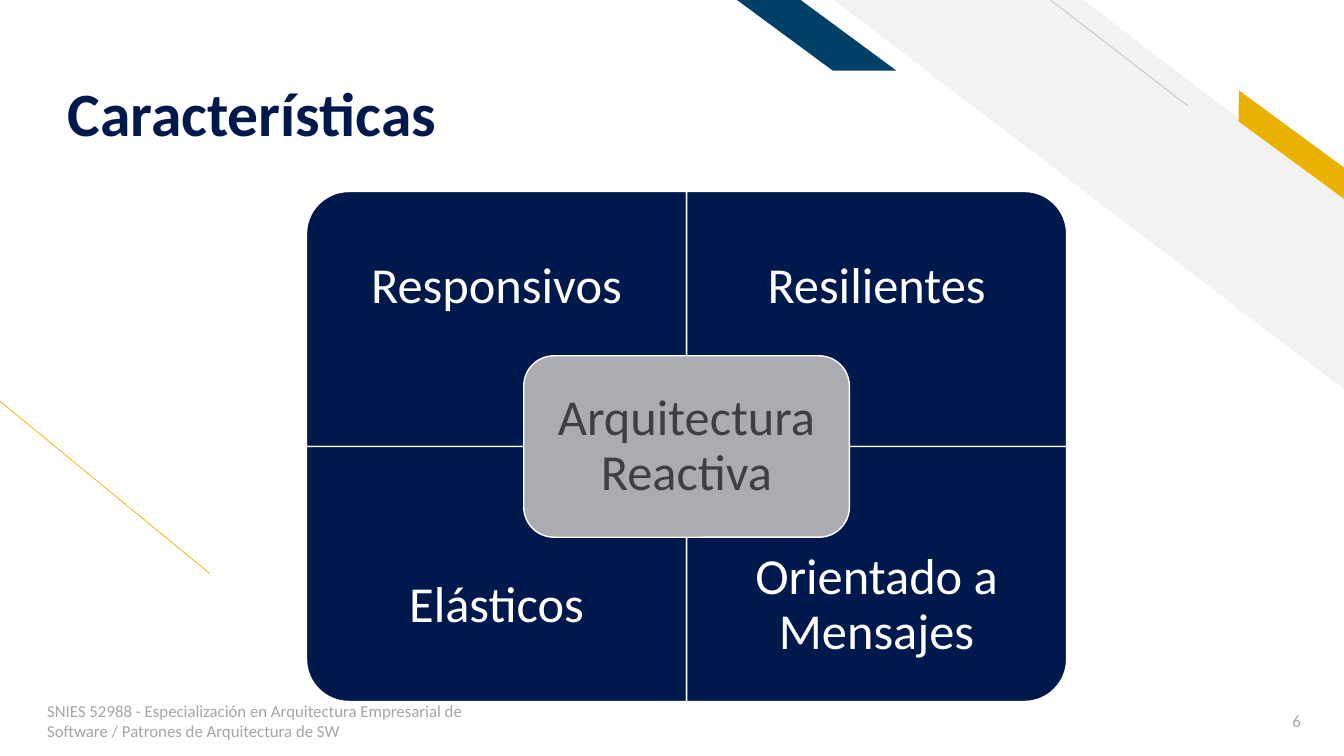
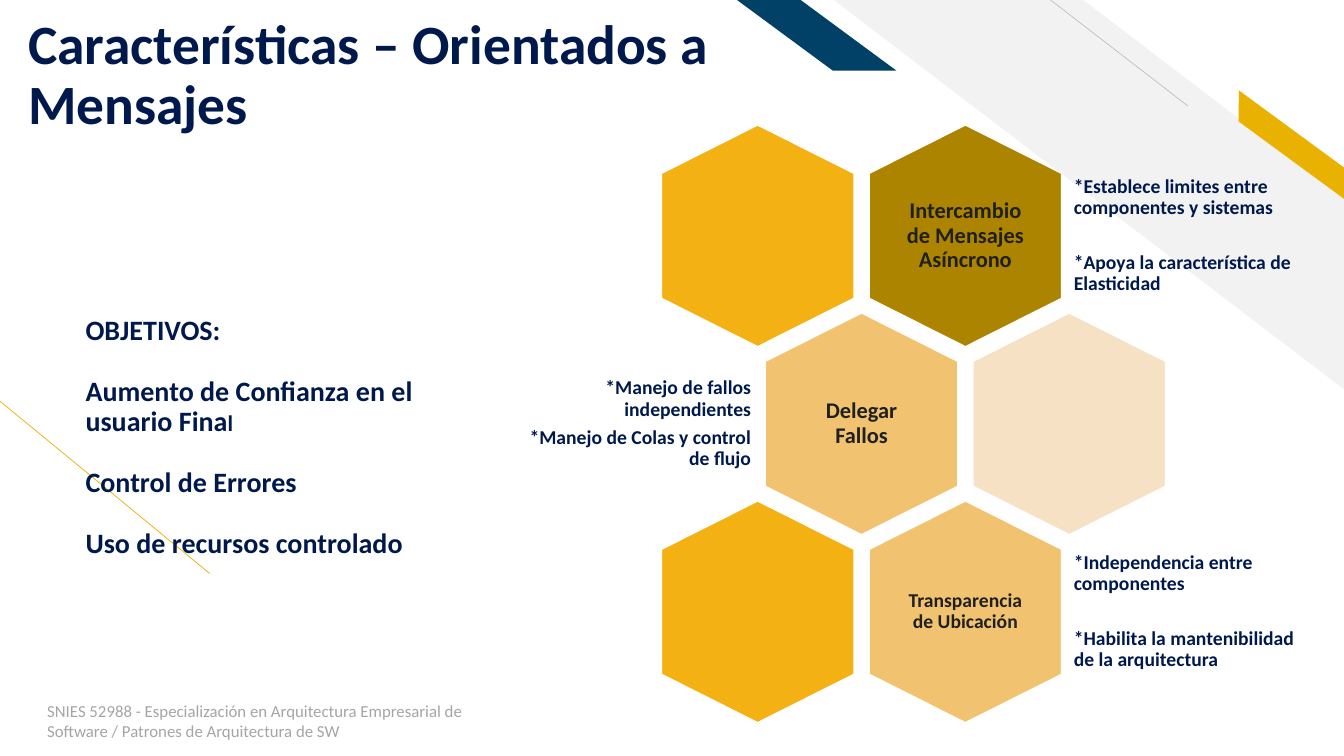
from math import cos, pi, sin

from pptx import Presentation
from pptx.dml.color import RGBColor
from pptx.enum.shapes import MSO_CONNECTOR, MSO_SHAPE
from pptx.enum.text import MSO_ANCHOR, MSO_AUTO_SIZE, PP_ALIGN
from pptx.oxml.ns import qn
from pptx.oxml.xmlchemy import OxmlElement
from pptx.util import Inches, Pt

# Content
FOOTER = ("SNIES 52988 - Especialización en Arquitectura Empresarial de "
          "Software / Patrones de Arquitectura de SW")
CENTER = "Arquitectura Reactiva"
QUADRANTS = [  # text, horizontal side, vertical side
    ("Responsivos", -1, -1), ("Resilientes", 1, -1),
    ("Elásticos", -1, 1), ("Orientado a Mensajes", 1, 1),
]
HEXAGONS = [  # row, column, fill, text, size
    (0, 0, "amber", "", 16),
    (0, 1, "bronze", "Intercambio de Mensajes Asíncrono", 16),
    (1, 0, "sand", "Delegar Fallos", 16),
    (1, 1, "cream", "", 16),
    (2, 0, "amber", "", 16),
    (2, 1, "sand", "Transparencia de Ubicación", 14),
]
NOTES = [  # left, row, width, alignment, gap in points, lines
    (10.59, 0, 2.45, PP_ALIGN.LEFT, 24,
     ["*Establece limites entre componentes y sistemas",
      "*Apoya la característica de Elasticidad"]),
    (5.14, 1, 2.37, PP_ALIGN.RIGHT, 5,
     ["*Manejo de fallos independientes",
      "*Manejo de Colas y control de flujo"]),
    (10.59, 2, 2.45, PP_ALIGN.LEFT, 24,
     ["*Independencia entre componentes",
      "*Habilita la mantenibilidad de la arquitectura"]),
]
GOALS = ["OBJETIVOS:", "Aumento de Confianza en el usuario Fina",
         "Control de Errores", "Uso de recursos controlado"]

# Shared style
FONT = "Calibri"
COLORS = {
    "navy": "00194C", "white": "FFFFFF", "gold": "EAB200", "teal": "014067",
    "pale": "F2F2F2", "rule": "BFBFBF", "muted": "A5A5A5", "gray": "ABACB2",
    "dark": "3F3F3F", "ink": "202020", "amber": "F4B113", "bronze": "AD8400",
    "sand": "F1C370", "cream": "F6E1C5",
}
BOX_INSETS = (0.1, 0.05, 0.1, 0.05)
TITLE_INSETS = (0.1, 0.05, 0.1, 0)


def rgb(name):
    return RGBColor.from_string(COLORS[name])


def write(sp, lines, size, color, bold=False, align=PP_ALIGN.CENTER,
          anchor=MSO_ANCHOR.MIDDLE, insets=BOX_INSETS, gap=0, spacing=0.9):
    tf = sp.text_frame
    tf.word_wrap = True
    tf.auto_size = MSO_AUTO_SIZE.NONE
    tf.vertical_anchor = anchor
    (tf.margin_left, tf.margin_top,
     tf.margin_right, tf.margin_bottom) = map(Inches, insets)
    tf.text = "\n".join(lines)
    for i, p in enumerate(tf.paragraphs):
        p.alignment = align
        p.line_spacing = spacing
        if i:
            p.space_before = Pt(gap)
        p.font.name, p.font.size, p.font.bold = FONT, Pt(size), bold
        p.font.color.rgb = rgb(color)
    return tf


def add_text(slide, box, lines, size, color, **style):
    sp = slide.shapes.add_textbox(*map(Inches, box))
    return write(sp, lines, size, color, **style)


def paint(sp, fill, line=None):
    sp.shadow.inherit = False
    sp.fill.solid()
    sp.fill.fore_color.rgb = rgb(fill)
    if line:
        sp.line.color.rgb = rgb(line)
        sp.line.width = Pt(1)
    else:
        sp.line.fill.background()
    return sp


def add_polygon(slide, points, fill):
    points = [(Inches(x), Inches(y)) for x, y in points]
    builder = slide.shapes.build_freeform(*points[0], scale=1.0)
    builder.add_line_segments(points[1:], close=True)
    return paint(builder.convert_to_shape(), fill, "white")


def add_band(slide, kind, box, adj, fill, rotation=0):
    sp = paint(slide.shapes.add_shape(kind, *map(Inches, box)), fill)
    sp.adjustments[0] = adj
    sp.rotation = rotation
    sp._element.spPr.find(qn("a:xfrm")).set("flipH", "1")
    return sp


def add_rule(slide, ends, color):
    line = slide.shapes.add_connector(MSO_CONNECTOR.STRAIGHT, *map(Inches, ends))
    line.line.color.rgb = rgb(color)
    line.line.width = Pt(0.5)
    line._element.spPr.append(OxmlElement("a:effectLst"))
    return line


def decorate_layout(layout, slide):
    """Draw the bands with the slide's tools, then hand them to the layout."""
    parts = [
        add_rule(slide, (2.08, 5.69, 0, 3.98), "gold"),
        add_band(slide, MSO_SHAPE.DIAGONAL_STRIPE, (8.27, 0, 5.07, 3.87), 0.512, "pale"),
        add_rule(slide, (11.78, 1.05, 10.42, 0), "rule"),
        add_band(slide, MSO_SHAPE.PARALLELOGRAM, (12.07, 1.31, 1.48, 0.25), 0.72,
                 "gold", 36.3),
        add_band(slide, MSO_SHAPE.PARALLELOGRAM, (7.31, 0, 1.58, 0.7), 1.356, "teal"),
    ]
    for number, part in enumerate(parts, 20):
        part._element.xpath(".//p:cNvPr")[0].set("id", str(number))
        layout.shapes._spTree.append(part._element)


def add_slide(prs, layout, title, box, size):
    slide = prs.slides.add_slide(layout)
    sp = slide.shapes.title
    sp.left, sp.top, sp.width, sp.height = map(Inches, box)
    write(sp, [title], size, "navy", bold=True, align=PP_ALIGN.LEFT,
          anchor=MSO_ANCHOR.BOTTOM, insets=TITLE_INSETS)
    add_text(slide, (0.37, 6.95, 4.5, 0.4), [FOOTER], 12, "muted",
             align=PP_ALIGN.LEFT, spacing=1.0)
    return slide


def build_matrix(slide):
    cx, cy, w, h, radius = 6.81, 4.43, 3.77, 2.53, 0.42
    angles = [i * pi / 32 for i in range(17)]
    corner = [(w - radius + radius * cos(a), h - radius + radius * sin(a))
              for a in angles]
    outline = [(0, 0), (w, 0), *corner, (0, h)]
    for text, sx, sy in QUADRANTS:
        sp = add_polygon(slide, [(cx + sx * x, cy + sy * y) for x, y in outline], "navy")
        top, bottom = (0.28, 0.91) if sy < 0 else (0.91, 0.28)
        write(sp, [text], 36, "white", insets=(0.28, top, 0.28, bottom))
    w, h = 3.23, 1.8
    box = (cx - w / 2, cy - h / 2, w, h)
    sp = slide.shapes.add_shape(MSO_SHAPE.ROUNDED_RECTANGLE, *map(Inches, box))
    write(paint(sp, "gray", "white"), [CENTER], 36, "dark", insets=(0.24,) * 4)


def build_honeycomb(slide):
    left, top, w, h, shoulder = 6.56, 1.24, 1.91, 2.2, 0.48
    col_step, row_step = 2.06, 1.865
    outline = [(w / 2, 0), (w, shoulder), (w, h - shoulder),
               (w / 2, h), (0, h - shoulder), (0, shoulder)]
    for row, col, fill, text, size in HEXAGONS:
        x = left + (col + row % 2 / 2) * col_step
        y = top + row * row_step
        sp = add_polygon(slide, [(x + dx, y + dy) for dx, dy in outline], fill)
        if text:
            write(sp, [text], size, "ink", bold=True, insets=(0.37, 0.42, 0.37, 0.42))

    # Notes are centred on their row of hexagons
    note_h = 1.32
    for x, row, width, align, gap, lines in NOTES:
        y = top + row * row_step + (h - note_h) / 2
        add_text(slide, (x, y, width, note_h), lines, 14, "navy", bold=True,
                 align=align, insets=(0.06,) * 4, gap=gap)

    tf = add_text(slide, (0.75, 2.58, 3.95, 2.97), GOALS, 20, "navy", bold=True,
                  align=PP_ALIGN.LEFT, anchor=MSO_ANCHOR.BOTTOM,
                  insets=TITLE_INSETS, gap=22)
    r = tf.paragraphs[1].add_run()
    r.text = "l"
    r.font.size = Pt(16)


def main():
    prs = Presentation()
    prs.slide_width, prs.slide_height = Inches(13.33), Inches(7.5)
    layout = prs.slide_layouts[5]

    # Slide 1: matrix of traits
    slide = add_slide(prs, layout, "Características", (0.57, 0.23, 9.11, 1.26), 44)
    decorate_layout(layout, slide)
    add_text(slide, (12.19, 6.95, 0.81, 0.4), ["6"], 12, "muted",
             align=PP_ALIGN.RIGHT, spacing=1.0)
    build_matrix(slide)

    # Slide 2: message-driven trait
    slide = add_slide(prs, layout, "Características – Orientados a\vMensajes",
                      (0.18, 0.05, 10.36, 1.3), 39.6)
    build_honeycomb(slide)

    prs.save("out.pptx")


if __name__ == "__main__":
    main()
